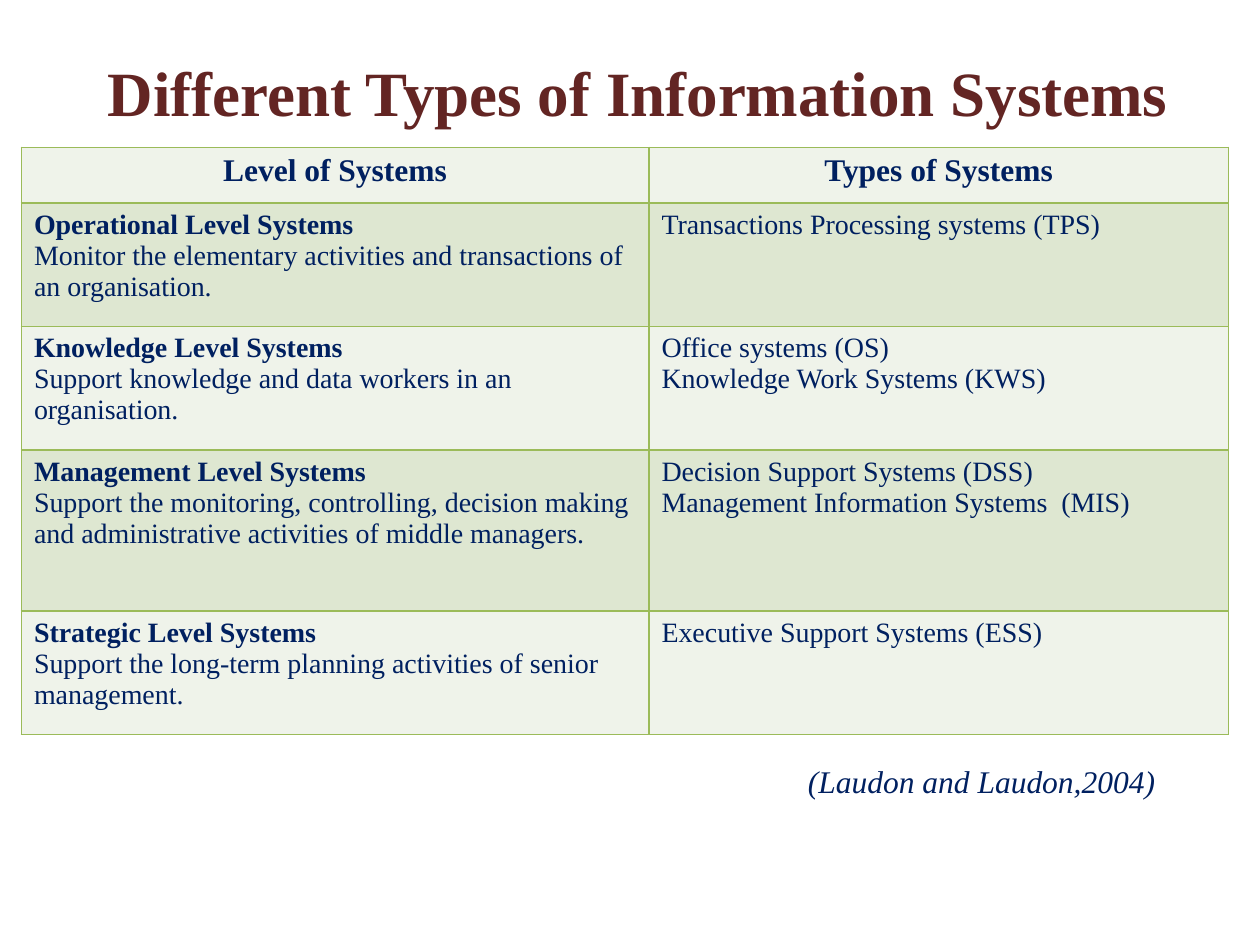
from lxml.etree import SubElement
from pptx import Presentation
from pptx.dml.color import RGBColor
from pptx.enum.text import MSO_ANCHOR, PP_ALIGN
from pptx.oxml.ns import qn
from pptx.util import Inches, Pt

FONT = "Times New Roman"
NAVY, MAROON, GREEN = "002060", "632523", "9BBB59"
BAND_FILLS = ["EFF3EA", "DEE7D1"]

TITLE = " Different Types of Information Systems"
CITATION = "(Laudon and Laudon,2004) "
HEADERS = ["Level of Systems", "Types of Systems"]
LEVELS = [
    ("Operational Level Systems",
     "Monitor the elementary activities and transactions of an organisation.",
     ["Transactions Processing systems (TPS)"]),
    ("Knowledge Level Systems",
     "Support knowledge and data workers in an organisation.",
     ["Office systems (OS)", "Knowledge Work Systems (KWS)"]),
    ("Management Level Systems",
     "Support the monitoring, controlling, decision making and administrative "
     "activities of middle managers.",
     ["Decision Support Systems (DSS)", "Management Information Systems  (MIS)"]),
    ("Strategic Level Systems",
     "Support the long-term planning activities of senior management.",
     ["Executive Support Systems (ESS)"]),
]
COLUMN_WIDTHS = [4.98, 4.6]
ROW_HEIGHTS = [0.44, 0.98, 0.98, 1.28, 0.98]


def color(value):
    return RGBColor.from_string(value)


def style(para, size, ink=NAVY, bold=False, italic=False, align=PP_ALIGN.LEFT):
    para.alignment = align
    for span in para.runs:
        font = span.font
        font.name, font.size = FONT, Pt(size)
        font.bold, font.italic = bold, italic
        font.color.rgb = color(ink)


def add_text(page, text, place, anchor, **look):
    box = page.shapes.add_textbox(*map(Inches, place))
    frame = box.text_frame
    frame.word_wrap = True
    frame.vertical_anchor = anchor
    frame.text = text
    style(frame.paragraphs[0], **look)


def add_borders(cell):
    """Draw a thin line on all four sides; borders must precede the fill."""
    properties = cell._tc.get_or_add_tcPr()
    for side in ("a:lnL", "a:lnR", "a:lnT", "a:lnB"):
        line = SubElement(properties, qn(side), w=str(Pt(1)))
        fill = SubElement(line, qn("a:solidFill"))
        SubElement(fill, qn("a:srgbClr"), val=GREEN)


def add_systems_table(page):
    rows = [[[header] for header in HEADERS]]
    rows += [[[level, purpose], systems] for level, purpose, systems in LEVELS]
    frame = page.shapes.add_table(
        len(rows), len(HEADERS), Inches(0.17), Inches(1.17),
        Inches(sum(COLUMN_WIDTHS)), Inches(sum(ROW_HEIGHTS)))
    table = frame.table
    for column, width in zip(table.columns, COLUMN_WIDTHS):
        column.width = Inches(width)
    for r, (row, height) in enumerate(zip(rows, ROW_HEIGHTS)):
        table.rows[r].height = Inches(height)
        for c, lines in enumerate(row):
            cell = table.cell(r, c)
            add_borders(cell)
            cell.fill.solid()
            cell.fill.fore_color.rgb = color(BAND_FILLS[r % 2])
            cell.text = "\n".join(lines)
            for p, para in enumerate(cell.text_frame.paragraphs):
                if r == 0:
                    style(para, 18, bold=True, align=PP_ALIGN.CENTER)
                else:
                    style(para, 16, bold=(c == 0 and p == 0))


def main():
    deck = Presentation()
    deck.slide_width, deck.slide_height = Inches(10), Inches(7.5)
    page = deck.slides.add_slide(deck.slide_layouts[6])
    add_text(page, TITLE, (0.5, 0.25, 9, 0.95), MSO_ANCHOR.MIDDLE,
             size=36, ink=MAROON, bold=True, align=PP_ALIGN.CENTER)
    add_systems_table(page)
    add_text(page, CITATION, (5.08, 6, 4.25, 0.4), MSO_ANCHOR.TOP,
             size=18, italic=True, align=PP_ALIGN.RIGHT)
    deck.save("out.pptx")


if __name__ == "__main__":
    main()
